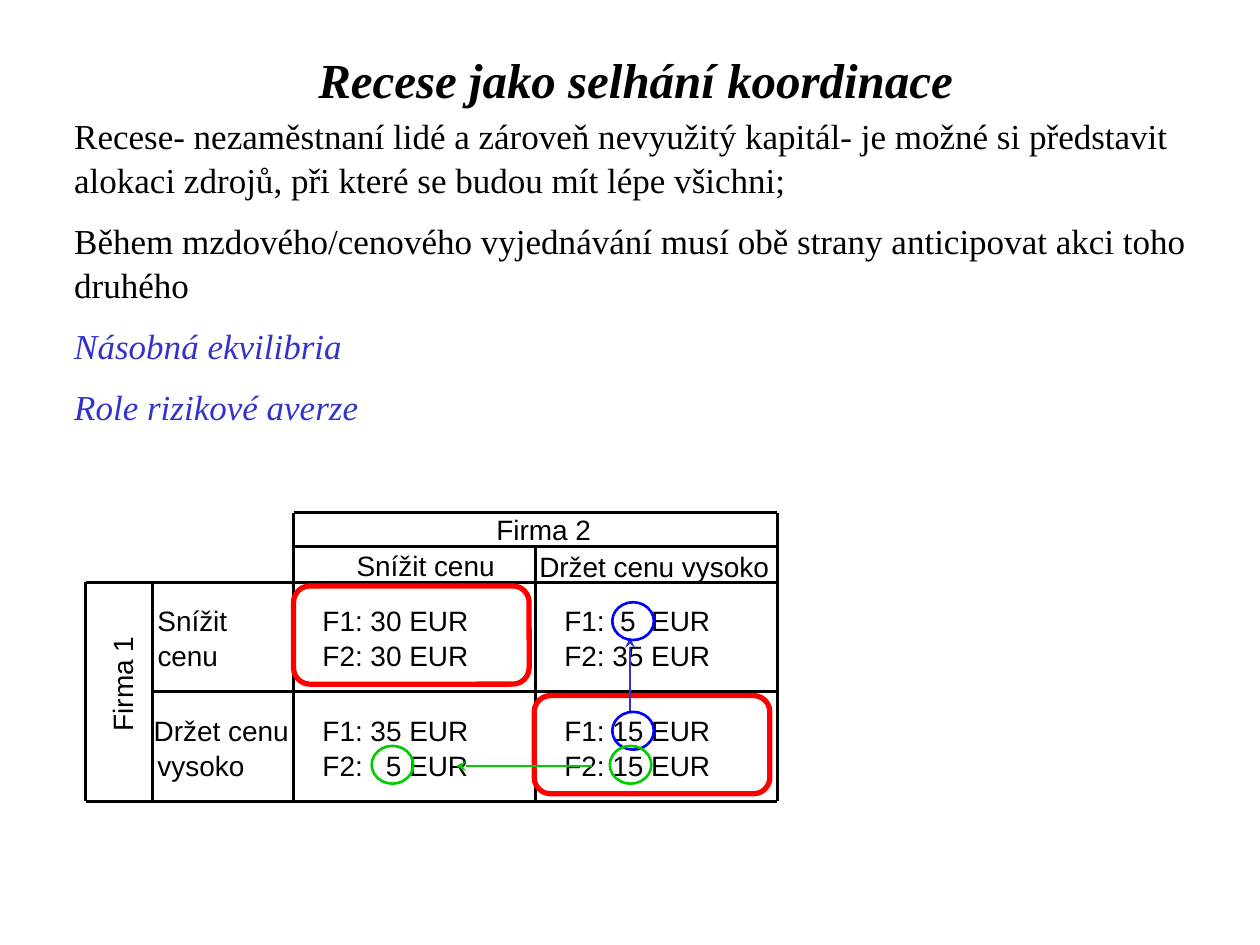
from lxml.etree import SubElement
from pptx import Presentation
from pptx.dml.color import RGBColor
from pptx.enum.shapes import MSO_CONNECTOR, MSO_SHAPE
from pptx.enum.text import MSO_ANCHOR, MSO_AUTO_SIZE, PP_ALIGN
from pptx.oxml.ns import qn
from pptx.util import Inches, Pt

TITLE = "Recese jako selhání koordinace"
BODY = [
    ("Recese- nezaměstnaní lidé a zároveň nevyužitý kapitál- je možné si "
     "představit alokaci zdrojů, při které se budou mít lépe všichni;", "000000", False),
    ("Během mzdového/cenového vyjednávání musí obě strany anticipovat akci "
     "toho druhého", "000000", False),
    ("Násobná ekvilibria", "3333CC", True),
    ("Role rizikové averze", "3333CC", True),
]

# Matrix labels: text, left, top, width
HEADS = [
    ("Firma 2", 3.94, 4.07, 0.76),
    ("Snížit cenu", 2.83, 4.35, 1.11),
    ("Držet cenu vysoko", 4.28, 4.36, 1.85),
]
# Each row: two label lines as (text, left, width), then the payoffs per column
ROWS = [
    ([("Snížit", 1.25, 0.56), ("cenu", 1.25, 0.49)],
     [("F1: 30 EUR", "F2: 30 EUR"), ("F1:  5  EUR", "F2: 35 EUR")]),
    ([("Držet cenu", 1.22, 1.09), ("vysoko", 1.25, 0.7)],
     [("F1: 35 EUR", "F2:   5 EUR"), ("F1: 15 EUR", "F2: 15 EUR")]),
]
ROW_TOP, ROW_STEP, LINE_STEP = 4.79, 0.87, 0.28
PAY_LEFT, PAY_STEP, PAY_WIDE = 2.56, 1.92, 1.16

# Grid rules
RIGHT, BASE = 6.17, 6.36
UPRIGHTS = [(0.68, 4.62), (1.21, 4.62), (2.33, 4.07), (4.25, 4.35), (RIGHT, 4.07)]
LEVELS = [(2.33, 4.07), (2.33, 4.34), (0.68, 4.62), (1.21, 5.49), (0.68, BASE)]

FRAMES = [(4.24, 5.52), (2.33, 4.65)]
ARROWS = [(5, 5.65, 5, 5.06, "3333CC"), (4.7, 6.08, 3.62, 6.08, "00CC00")]
RINGS = [
    (4.86, 5.65, "0000FF"), (4.86, 4.78, "0000FF"),
    (4.84, 5.92, "00CC00"), (2.95, 5.92, "00CC00"),
]

deck = Presentation()
deck.slide_width, deck.slide_height = Inches(10), Inches(7.5)
slide = deck.slides.add_slide(deck.slide_layouts[6])
shapes = slide.shapes


def color(code):
    return RGBColor.from_string(code)


def write(para, text, size=16, font="Arial", ink="000000", bold=False, italic=False):
    run = para.add_run()
    run.text = text
    face = run.font
    face.size, face.name = Pt(size), font
    face.bold, face.italic = bold, italic
    face.color.rgb = color(ink)


def add_box(left, top, wide, high):
    return shapes.add_textbox(Inches(left), Inches(top), Inches(wide), Inches(high))


def add_label(text, left, top, wide, turn=0):
    box = add_box(left, top, wide, 0.27)
    box.rotation = turn
    frame = box.text_frame
    frame.margin_left = frame.margin_right = frame.margin_top = frame.margin_bottom = 0
    frame.word_wrap = False
    frame.auto_size = MSO_AUTO_SIZE.SHAPE_TO_FIT_TEXT
    write(frame.paragraphs[0], text)


def add_line(x1, y1, x2, y2, ink="000000", width=1.75, arrow=False):
    line = shapes.add_connector(
        MSO_CONNECTOR.STRAIGHT, Inches(x1), Inches(y1), Inches(x2), Inches(y2))
    line.line.color.rgb = color(ink)
    line.line.width = Pt(width)
    if arrow:
        SubElement(line.line._get_or_add_ln(), qn("a:tailEnd"), type="stealth")
    SubElement(line._element.spPr, qn("a:effectLst"))


def add_ring(kind, left, top, wide, high, ink, width):
    ring = shapes.add_shape(kind, Inches(left), Inches(top), Inches(wide), Inches(high))
    ring.shadow.inherit = False
    ring.fill.background()
    ring.line.color.rgb = color(ink)
    ring.line.width = Pt(width)


# Title
frame = add_box(0.61, 0, 8.87, 1.25).text_frame
frame.word_wrap = True
frame.vertical_anchor = MSO_ANCHOR.MIDDLE
frame.paragraphs[0].alignment = PP_ALIGN.CENTER
write(frame.paragraphs[0], TITLE, size=28, font="Times New Roman", bold=True, italic=True)

# Body
frame = add_box(0.49, 0.85, 9.51, 2.63).text_frame
frame.word_wrap = True
for i, (text, ink, slant) in enumerate(BODY):
    para = frame.add_paragraph() if i else frame.paragraphs[0]
    para.space_before = Pt(10)
    para.line_spacing = 1.04
    write(para, text, size=20, font="Times New Roman", ink=ink, italic=slant)

# Payoff matrix text
for head in HEADS:
    add_label(*head)
add_label("Firma 1", 0.59, 5.29, 0.76, turn=270)
for r, (names, cells) in enumerate(ROWS):
    top = ROW_TOP + r * ROW_STEP
    for n, (text, left, wide) in enumerate(names):
        add_label(text, left, top + n * LINE_STEP, wide)
    for c, cell in enumerate(cells):
        for n, text in enumerate(cell):
            add_label(text, PAY_LEFT + c * PAY_STEP, top + n * LINE_STEP, PAY_WIDE)

# Matrix grid
for x, y in UPRIGHTS:
    add_line(x, y, x, BASE)
for x, y in LEVELS:
    add_line(x, y, RIGHT, y)

# Equilibria, moves and compared payoffs
for left, top in FRAMES:
    add_ring(MSO_SHAPE.ROUNDED_RECTANGLE, left, top, 1.87, 0.78, "FF0000", 3)
for x1, y1, x2, y2, ink in ARROWS:
    add_line(x1, y1, x2, y2, ink=ink, width=1.5, arrow=True)
for left, top, ink in RINGS:
    add_ring(MSO_SHAPE.OVAL, left, top, 0.33, 0.3, ink, 1.5)

deck.save("out.pptx")
